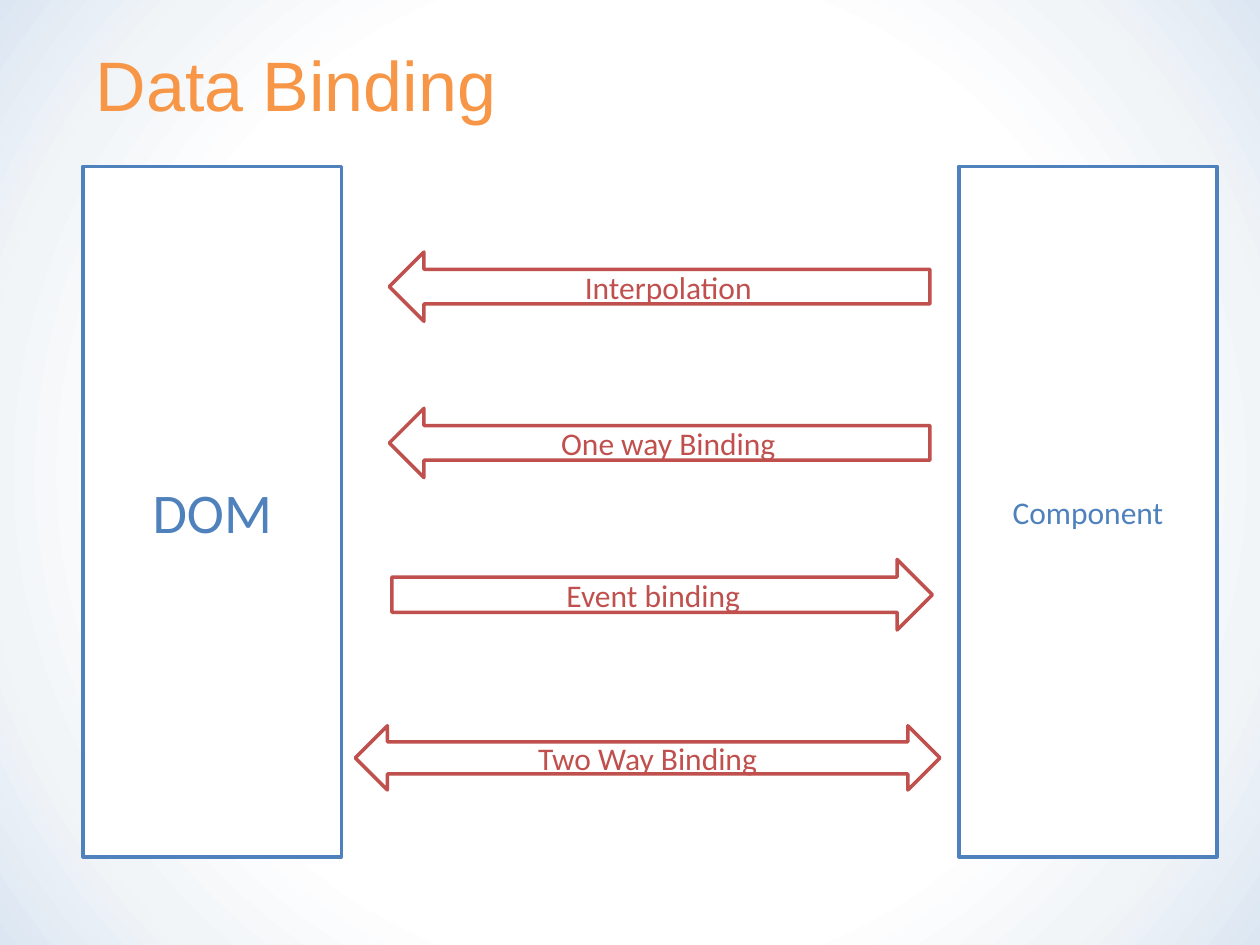
from lxml import etree
from pptx import Presentation
from pptx.dml.color import RGBColor
from pptx.enum.shapes import MSO_SHAPE as Preset
from pptx.enum.text import MSO_ANCHOR as Anchor, PP_ALIGN as Align
from pptx.oxml.ns import qn
from pptx.util import Inches, Pt

COLORS = {
    "title": "F79646",
    "panel": "4F81BD",
    "arrow": "C0504D",
    "paper": "FFFFFF",
}
BACKGROUND_STOPS = [(62, "FFFFFF"), (81, "F2F5F8"), (100, "DCE6F2")]

TITLE = "Data Binding"
PANEL_TOP, PANEL_WIDTH, PANEL_HEIGHT = 1.32, 2.05, 5.48
PANELS = [("DOM", 0.66, 32), ("Component", 7.61, 18)]
ARROWS = [
    ("Interpolation", Preset.LEFT_ARROW, (3.09, 2, 4.29, 0.55)),
    ("One way Binding", Preset.LEFT_ARROW, (3.09, 3.24, 4.29, 0.55)),
    ("Event binding", Preset.RIGHT_ARROW, (3.11, 4.44, 4.29, 0.56)),
    ("Two Way Binding", Preset.LEFT_RIGHT_ARROW, (2.82, 5.76, 4.64, 0.51)),
]


def rgb(name):
    return RGBColor.from_string(COLORS[name])


def style_text(frame, text, align, size, font_name, color):
    frame.text = text
    frame.word_wrap = True
    frame.vertical_anchor = Anchor.MIDDLE
    para = frame.paragraphs[0]
    para.alignment = align
    font = para.runs[0].font
    font.size = Pt(size)
    font.name = font_name
    font.color.rgb = rgb(color)


def paint_background(page):
    page.background.fill.gradient()
    gradient = page.element.find(".//" + qn("a:gradFill"))
    for child in list(gradient):
        gradient.remove(child)
    stops = etree.SubElement(gradient, qn("a:gsLst"))
    for percent, color in BACKGROUND_STOPS:
        stop = etree.SubElement(stops, qn("a:gs"), pos=str(percent * 1000))
        etree.SubElement(stop, qn("a:srgbClr"), val=color)
    circle = etree.SubElement(gradient, qn("a:path"), path="circle")
    etree.SubElement(circle, qn("a:fillToRect"),
                     {side: "50000" for side in "ltrb"})


def add_outlined(group, preset, bounds, text, size, color):
    shape = group.shapes.add_shape(preset, *map(Inches, bounds))
    shape.shadow.inherit = False
    shape.fill.solid()
    shape.fill.fore_color.rgb = rgb("paper")
    shape.line.color.rgb = rgb(color)
    shape.line.width = Pt(2)
    style_text(shape.text_frame, text, Align.CENTER, size, "Calibri", color)


def main():
    deck = Presentation()
    deck.slide_width, deck.slide_height = Inches(10), Inches(7.5)
    page = deck.slides.add_slide(deck.slide_layouts.get_by_name("Title Only"))
    paint_background(page)

    title = page.shapes.title
    title.left, title.top = Inches(0.66), Inches(0)
    title.width, title.height = Inches(9.18), Inches(1.32)
    style_text(title.text_frame, TITLE, Align.LEFT, 40, "Arial", "title")

    diagram = page.shapes.add_group_shape()
    for text, left, size in PANELS:
        bounds = (left, PANEL_TOP, PANEL_WIDTH, PANEL_HEIGHT)
        add_outlined(diagram, Preset.RECTANGLE, bounds, text, size, "panel")
    for text, preset, bounds in ARROWS:
        add_outlined(diagram, preset, bounds, text, 18, "arrow")

    deck.save("out.pptx")


if __name__ == "__main__":
    main()
